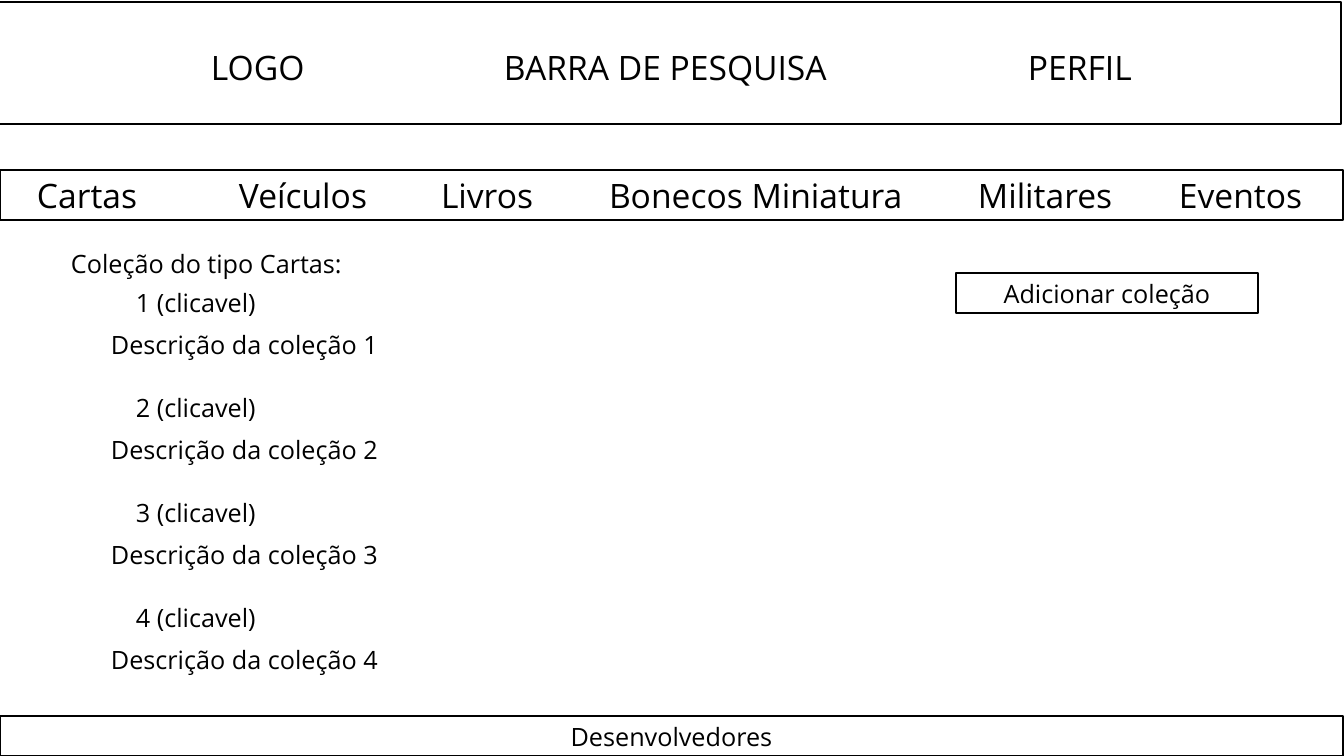
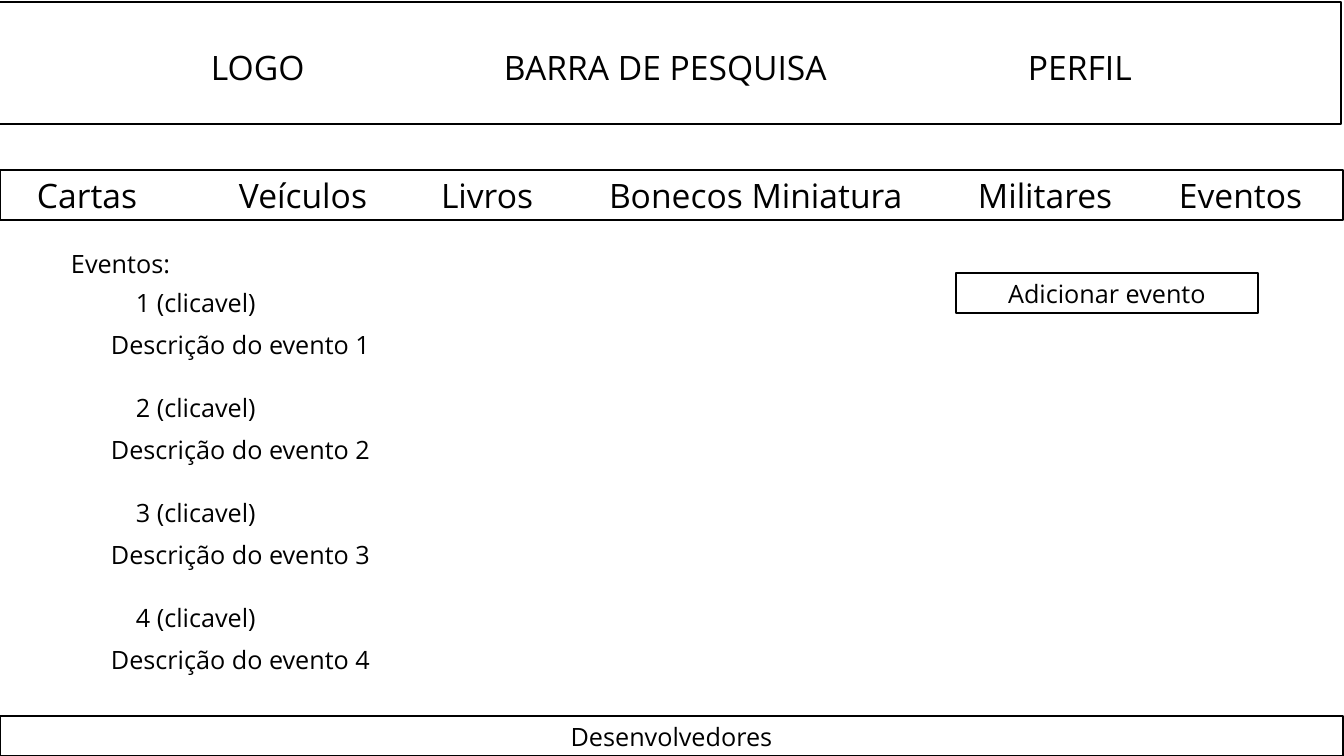
from dataclasses import dataclass

from lxml.etree import SubElement
from pptx import Presentation
from pptx.dml.color import RGBColor
from pptx.enum.shapes import MSO_SHAPE as Shape
from pptx.enum.text import MSO_ANCHOR as Anchor, MSO_AUTO_SIZE as AutoSize, PP_ALIGN as Align
from pptx.oxml.ns import qn
from pptx.util import Emu, Pt

EMU_PER_PX = 914400 / 100.8
TITLE_ONLY = 5


@dataclass(frozen=True)
class Theme:
    font: str = "Open Sans"
    ink: RGBColor = RGBColor(0, 0, 0)
    paper: RGBColor = RGBColor(255, 255, 255)
    bar_size: Pt = Pt(24)
    body_size: Pt = Pt(18)
    outline: Pt = Pt(1.5)
    list_line: Pt = Pt(15)


THEME = Theme()

# Each bar label with its distance from the left edge of the bar.
HEADER = {"LOGO": 212, "BARRA DE PESQUISA": 505, "PERFIL": 1029}
MENU = {"Cartas": 37, "Veículos": 239, "Livros": 441, "Bonecos Miniatura": 609,
        "Militares": 978, "Eventos": 1179}
PAGES = [
    ("Coleção do tipo Cartas:", "Adicionar coleção", "Descrição da coleção"),
    ("Eventos:", "Adicionar evento", "Descrição do evento"),
]
ITEM_COUNT = 4
ITEM_INDENT = 25


def px(length):
    return Emu(round(length * EMU_PER_PX))


def set_up_frame(shape, anchor):
    frame = shape.text_frame
    frame.word_wrap = True
    frame.auto_size = AutoSize.NONE
    frame.vertical_anchor = anchor
    frame.margin_left = frame.margin_right = frame.margin_top = frame.margin_bottom = 0
    return frame


def style_text(frame, size, align):
    for para in frame.paragraphs:
        para.alignment = align
        for span in para.runs:
            span.font.name = THEME.font
            span.font.size = size
            span.font.color.rgb = THEME.ink


def add_box(page, left, top, width, height, text, size=THEME.body_size, align=Align.CENTER):
    """Add an outlined rectangle with its text centred vertically."""
    box = page.shapes.add_shape(Shape.RECTANGLE, px(left), px(top), px(width), px(height))
    box.shadow.inherit = False
    box.fill.solid()
    box.fill.fore_color.rgb = THEME.paper
    box.line.color.rgb = THEME.ink
    box.line.width = THEME.outline
    frame = set_up_frame(box, Anchor.MIDDLE)
    frame.text = text
    style_text(frame, size, align)
    return box


def add_bar(page, left, top, width, height, labels):
    """Add a box whose labels stand at tab stops."""
    text = "".join(f"\t{label}" for label in labels)
    bar = add_box(page, left, top, width, height, text, THEME.bar_size, Align.LEFT)
    properties = bar.text_frame.paragraphs[0]._p.get_or_add_pPr()
    tab_list = SubElement(properties, qn("a:tabLst"))
    for stop in labels.values():
        SubElement(tab_list, qn("a:tab"), pos=str(px(stop)), algn="l")
    return bar


def set_title(page, text):
    title = page.shapes.title
    title.left, title.top, title.width, title.height = px(71), px(243), px(562), px(41)
    frame = set_up_frame(title, Anchor.MIDDLE)
    frame.text = text
    style_text(frame, THEME.body_size, Align.LEFT)


def add_item_list(page, description):
    box = page.shapes.add_textbox(px(111), px(297), px(836), px(412))
    frame = set_up_frame(box, Anchor.TOP)
    frame.text = "\n".join(f"{number} (clicavel)\n{description} {number}"
                           for number in range(1, ITEM_COUNT + 1))
    style_text(frame, THEME.body_size, Align.LEFT)
    for index, para in enumerate(frame.paragraphs):
        para.line_spacing = THEME.list_line
        is_item = index % 2 == 0
        if is_item:
            para._p.get_or_add_pPr().set("marL", str(px(ITEM_INDENT)))
        if index > 0:
            para.space_before = THEME.list_line * (2 if is_item else 1)


def add_page(deck, title, button, description):
    page = deck.slides.add_slide(deck.slide_layouts[TITLE_ONLY])
    set_title(page, title)
    header = add_bar(page, -1, 2, 1342, 122, HEADER)
    header.text_frame.margin_top = px(9)
    add_bar(page, 0, 170, 1343, 50, MENU)
    add_box(page, 0, 716, 1343, 40, "Desenvolvedores")
    add_box(page, 956, 273, 302, 40, button)
    add_item_list(page, description)


def main():
    deck = Presentation()
    deck.slide_width, deck.slide_height = px(1344), px(756)
    for title, button, description in PAGES:
        add_page(deck, title, button, description)
    deck.save("out.pptx")


if __name__ == "__main__":
    main()
